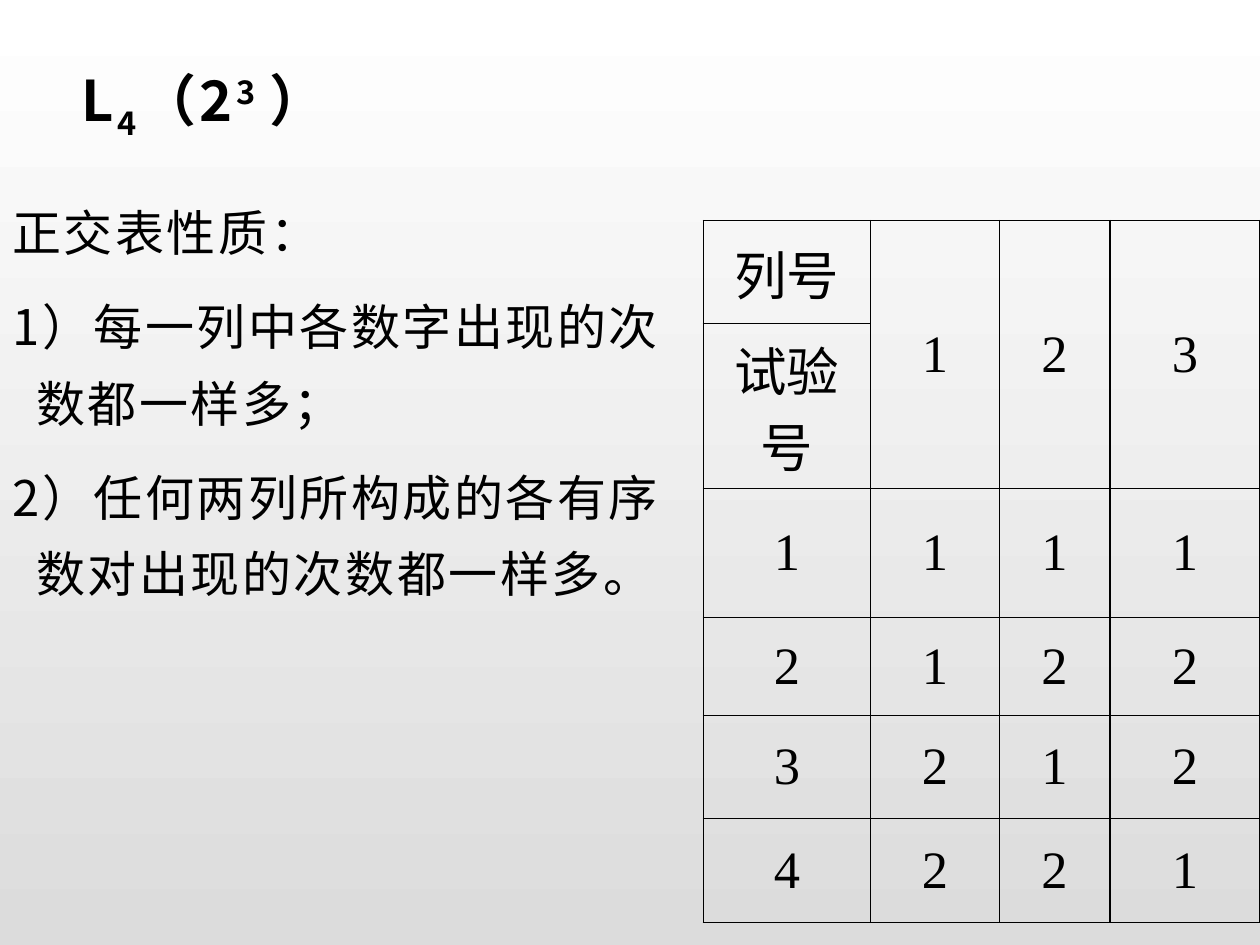
"""Build a slide that explains the properties of the L4(2^3) orthogonal array."""
from lxml import etree
from pptx import Presentation
from pptx.dml.color import RGBColor
from pptx.enum.text import MSO_ANCHOR as Anchor, PP_ALIGN as Align
from pptx.oxml import parse_xml
from pptx.oxml.ns import nsdecls, qn
from pptx.util import Inches, Pt

COLORS = {"ink": "000000", "top": "FFFFFF", "bottom": "DCDCDC"}
CJK = "Noto Sans CJK SC"


def add_span(para, text, size, font=CJK, bold=False, spacing=0, baseline=0):
    span = para.add_run()
    span.text = text
    span.font.size = Pt(size)
    span.font.bold = bold
    span.font.name = font
    span.font.color.rgb = RGBColor.from_string(COLORS["ink"])
    props = span.font._element
    etree.SubElement(props, qn("a:ea")).set("typeface", CJK)
    if spacing:
        props.set("spc", str(int(spacing * 100)))
    if baseline:
        props.set("baseline", str(baseline * 1000))


deck = Presentation()
deck.slide_width, deck.slide_height = Inches(10), Inches(7.5)
page = deck.slides.add_slide(deck.slide_layouts[6])

backdrop = page.background.fill
backdrop.gradient()
backdrop.gradient_angle = 270
for stop, name, position in zip(backdrop.gradient_stops, ("top", "bottom"), (0, 1)):
    stop.color.rgb = RGBColor.from_string(COLORS[name])
    stop.position = position

title = page.shapes.add_textbox(Inches(0.55), Inches(0.47), Inches(8.9), Inches(0.71)).text_frame
title.word_wrap = True
title.vertical_anchor = Anchor.MIDDLE
for text, baseline in (("L", 0), ("4", -25), ("（2", 0), ("3 ", 30), ("）", 0)):
    add_span(title.paragraphs[0], text, 32, bold=True, spacing=2, baseline=baseline)

properties = (
    "正交表性质：",
    "1）每一列中各数字出现的次数都一样多；",
    "2）任何两列所构成的各有序数对出现的次数都一样多。",
)
body = page.shapes.add_textbox(Inches(0), Inches(1.42), Inches(5.39), Inches(5.51)).text_frame
body.word_wrap = True
for index, text in enumerate(properties):
    para = body.add_paragraph() if index else body.paragraphs[0]
    para.line_spacing = 1.3
    para.space_after = Pt(10)
    indent = Inches(0.19)
    para._p.get_or_add_pPr().set("marL", str(indent))
    para._p.get_or_add_pPr().set("indent", str(-indent))
    add_span(para, text, 28, spacing=1.5)

rows = (
    ("列号", "1", "2", "3"),
    ("试验号", "", "", ""),
    ("1", "1", "1", "1"),
    ("2", "1", "2", "2"),
    ("3", "2", "1", "2"),
    ("4", "2", "2", "1"),
)
widths = (1.33, 1.02, 0.88, 1.19)
heights = (0.82, 1.31, 1.02, 0.78, 0.82, 0.82)
frame = page.shapes.add_table(
    len(rows), len(widths), Inches(5.58), Inches(1.75), Inches(sum(widths)), Inches(sum(heights))
)
array = frame.table
array.first_row = array.horz_banding = False
for column, width in zip(array.columns, widths):
    column.width = Inches(width)
for row, height, values in zip(array.rows, heights, rows):
    row.height = Inches(height)
    for cell, value in zip(row.cells, values):
        cell.fill.background()
        cell.vertical_anchor = Anchor.MIDDLE
        for place, side in enumerate("LRTB"):
            border = parse_xml(
                f'<a:ln{side} {nsdecls("a")} w="{Pt(0.75)}"><a:solidFill>'
                f'<a:srgbClr val="{COLORS["ink"]}"/></a:solidFill></a:ln{side}>'
            )
            cell._tc.tcPr.insert(place, border)
        if value:
            para = cell.text_frame.paragraphs[0]
            para.alignment = Align.CENTER
            add_span(para, value, 30, font="Times New Roman")
for index in range(1, len(widths)):
    array.cell(0, index).merge(array.cell(1, index))

deck.save("out.pptx")
